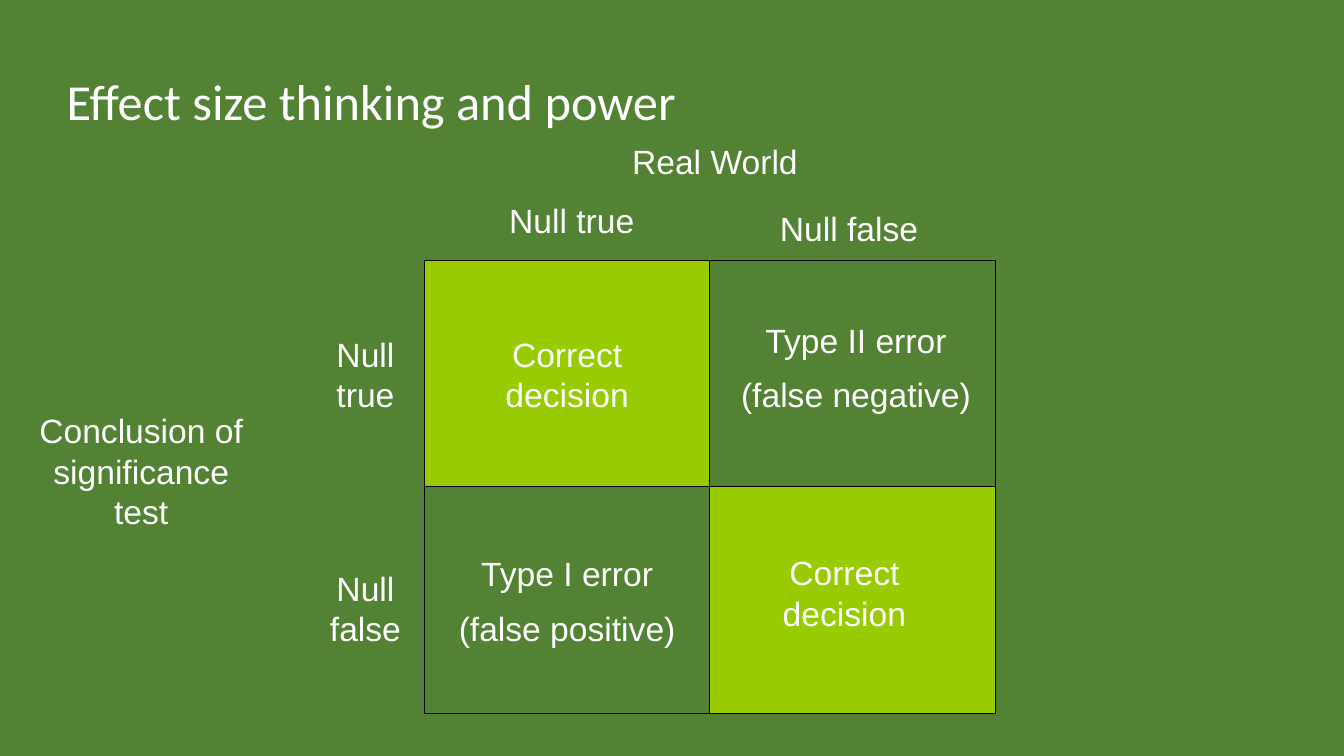
"""Builds a slide with the decision matrix of significance testing."""
from lxml import etree
from pptx import Presentation
from pptx.dml.color import RGBColor
from pptx.enum.shapes import MSO_CONNECTOR, MSO_SHAPE
from pptx.enum.text import PP_ALIGN
from pptx.oxml.ns import qn
from pptx.util import Inches, Pt

RECTANGLE = MSO_SHAPE.RECTANGLE
STRAIGHT = MSO_CONNECTOR.STRAIGHT
LEFT, CENTER = PP_ALIGN.LEFT, PP_ALIGN.CENTER

GRID_LEFT, GRID_TOP = 4.21, 2.58
CELL_WIDTH, CELL_HEIGHT = 2.83, 2.25
MIDDLE_X, MIDDLE_Y = GRID_LEFT + CELL_WIDTH, GRID_TOP + CELL_HEIGHT
GRID_RIGHT, GRID_BOTTOM = MIDDLE_X + CELL_WIDTH, MIDDLE_Y + CELL_HEIGHT


def color(hex_code):
    return RGBColor.from_string(hex_code)


def add_label(lines, left, top, width, height, font="Arial", size=24, align=CENTER):
    frame = slide.shapes.add_textbox(
        Inches(left), Inches(top), Inches(width), Inches(height)).text_frame
    frame.word_wrap = True
    frame.margin_left = frame.margin_right = Inches(0.09)
    frame.margin_top, frame.margin_bottom = Inches(0.06), Inches(0.05)
    for index, line in enumerate(lines):
        paragraph = frame.paragraphs[0] if index == 0 else frame.add_paragraph()
        paragraph.alignment = align
        if index:
            paragraph.space_before = Pt(10.2)
        run = paragraph.add_run()
        run.text = line
        run.font.name, run.font.size = font, Pt(size)
        run.font.color.rgb = color("FFFFFF")


deck = Presentation()
deck.slide_width, deck.slide_height = Inches(13.33), Inches(7.5)
slide = deck.slides.add_slide(deck.slide_layouts[6])
slide.background.fill.solid()
slide.background.fill.fore_color.rgb = color("548235")

for left, top, columns, fill in [
    (MIDDLE_X, MIDDLE_Y, 1, "99CC00"),
    (GRID_LEFT, GRID_TOP, 1, "99CC00"),
    (GRID_LEFT, GRID_TOP, 2, None),
]:
    area = slide.shapes.add_shape(
        RECTANGLE, Inches(left), Inches(top),
        Inches(columns * CELL_WIDTH), Inches(columns * CELL_HEIGHT))
    area.shadow.inherit = False
    if fill:
        area.fill.solid()
        area.fill.fore_color.rgb = color(fill)
    else:
        area.fill.background()
    area.line.color.rgb = color("000000")
    area.line.width = Pt(0.75)

for ends in [
    (MIDDLE_X, GRID_TOP, MIDDLE_X, GRID_BOTTOM),
    (GRID_LEFT, MIDDLE_Y, GRID_RIGHT, MIDDLE_Y),
]:
    divider = slide.shapes.add_connector(STRAIGHT, *map(Inches, ends))
    divider.line.color.rgb = color("000000")
    divider.line.width = Pt(0.75)
    etree.SubElement(divider._element.spPr, qn("a:effectLst"))

for lines, left, top, width, height in [
    (["Null true"], 4.46, 1.92, 2.42, 0.52),
    (["Null false"], 7.21, 2, 2.42, 0.52),
    (["Real World"], 5.88, 1.34, 2.42, 0.52),
    (["Conclusion of significance test"], 0.17, 4.01, 2.46, 1.31),
    (["Correct decision"], 4.46, 3.25, 2.33, 0.92),
    (["Correct decision"], 7.21, 5.42, 2.33, 0.92),
    (["Type II error", "(false negative)"], 7.21, 3.11, 2.56, 1.06),
    (["Type I error", "(false positive)"], 4.46, 5.43, 2.33, 1.06),
    (["Null true"], 2.96, 3.25, 1.33, 0.92),
    (["Null false"], 2.96, 5.57, 1.33, 0.92),
]:
    add_label(lines, left, top, width, height)

add_label(["Effect size thinking and power"], 0.57, 0.64, 10.71, 0.71,
          "Calibri", 36, LEFT)

deck.save("out.pptx")
